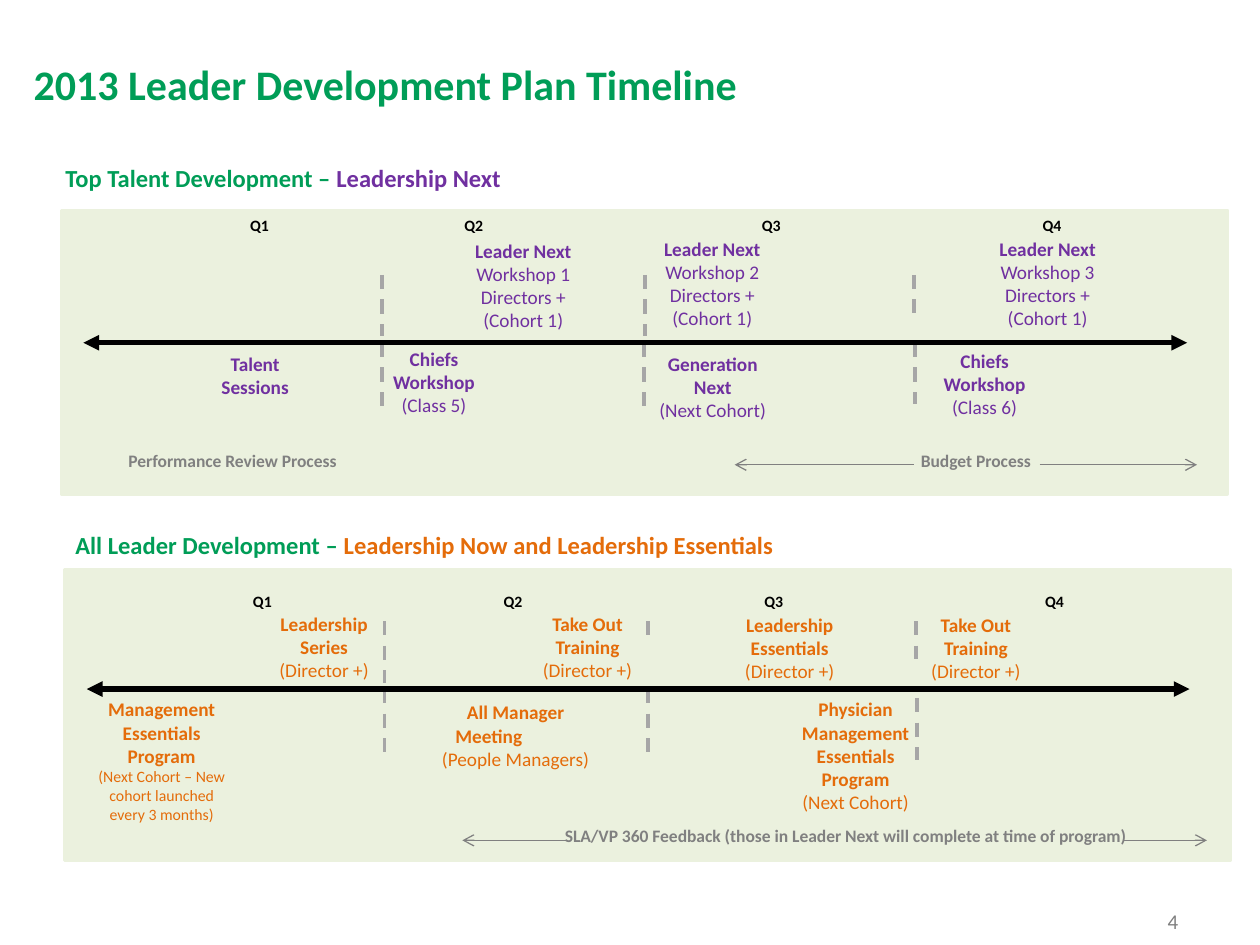
from lxml import etree
from pptx import Presentation
from pptx.dml.color import RGBColor
from pptx.enum.dml import MSO_LINE
from pptx.enum.shapes import MSO_CONNECTOR, MSO_SHAPE
from pptx.enum.text import MSO_ANCHOR, PP_ALIGN
from pptx.oxml.ns import qn
from pptx.util import Cm, Pt

DASH = MSO_LINE.DASH
STRAIGHT = MSO_CONNECTOR.STRAIGHT
RECTANGLE = MSO_SHAPE.RECTANGLE
MIDDLE, TOP = MSO_ANCHOR.MIDDLE, MSO_ANCHOR.TOP
LEFT, CENTER = PP_ALIGN.LEFT, PP_ALIGN.CENTER

COLORS = {
    "panel": "EBF1DE",
    "green": "009D57",
    "purple": "7030A0",
    "orange": "E46C0A",
    "gray": "808080",
    "divider": "A6A6A6",
    "black": "000000",
}


class TimelineSlide:
    font = "Calibri"

    def __init__(self, deck):
        self.slide = deck.slides.add_slide(deck.slide_layouts[6])

    def color(self, name):
        return RGBColor.from_string(COLORS[name])

    def panel(self, left, top, width, height):
        box = self.slide.shapes.add_shape(RECTANGLE, Cm(left), Cm(top), Cm(width), Cm(height))
        box.shadow.inherit = False
        box.fill.solid()
        box.fill.fore_color.rgb = self.color("panel")
        box.line.color.rgb = self.color("panel")
        box.line.width = Pt(2)

    def text(self, left, top, width, height, paras, align=CENTER, anchor=TOP, wrap=True):
        box = self.slide.shapes.add_textbox(Cm(left), Cm(top), Cm(width), Cm(height))
        frame = box.text_frame
        frame.word_wrap = wrap
        frame.vertical_anchor = anchor
        for index, runs in enumerate(paras):
            para = frame.add_paragraph() if index else frame.paragraphs[0]
            para.alignment = align
            for words, color, size, bold in runs:
                span = para.add_run()
                span.text = words
                span.font.name = self.font
                span.font.size = Pt(size)
                span.font.bold = bold
                span.font.color.rgb = self.color(color)
        return frame

    def heading(self, left, top, runs, size):
        spans = [(words, color, size, True) for words, color in runs]
        self.text(left, top, 22.86, 1.7, [spans], LEFT, MIDDLE)

    def quarters(self, top, lefts):
        for number, left in enumerate(lefts, 1):
            self.text(left, top, 2.24, 0.64, [[(f"Q{number}", "black", 9, True)]])

    def event(self, left, top, width, height, color, names, details, size=11):
        paras = [[(name, color, 11, True)] for name in names]
        paras += [[(detail, color, size, False)] for detail in details]
        return self.text(left, top, width, height, paras)

    def process(self, left, top, width, words, align=CENTER, wrap=True):
        self.text(left, top, width, 0.69, [[(words, "gray", 10, True)]], align, wrap=wrap)

    def line(self, start, end, color, weight, dash=None, head=None, tail=None):
        line = self.slide.shapes.add_connector(STRAIGHT, *map(Cm, start + end))
        line.line.color.rgb = self.color(color)
        line.line.width = Pt(weight)
        if dash:
            line.line.dash_style = dash
        outline = line.line._get_or_add_ln()
        for tag, kind in (("a:headEnd", head), ("a:tailEnd", tail)):
            if kind:
                etree.SubElement(outline, qn(tag)).set("type", kind)
        etree.SubElement(line._element.spPr, qn("a:effectLst"))

    def dividers(self, spans):
        for x, top, bottom in spans:
            self.line((x, top), (x, bottom), "divider", 2, DASH)

    def axis(self, start, end, y):
        self.line((start, y), (end, y), "black", 3, head="triangle", tail="triangle")

    def arrow(self, start, end, y):
        self.line((start, y), (end, y), "gray", 0.75, tail="arrow")


def draw_top_talent(page):
    page.heading(1.07, 2.74, [("Top Talent Development – ", "green"), ("Leadership Next", "purple")], 14)
    page.panel(1.24, 4.24, 23.5, 5.72)
    page.quarters(4.22, (4.11, 8.43, 14.43, 20.09))
    page.dividers([
        (7.7, 5.54, 6.78), (13, 5.54, 6.78), (18.42, 5.54, 6.3),
        (7.7, 6.91, 8.36), (12.98, 6.91, 8.36), (18.44, 6.91, 8.15),
    ])
    page.axis(1.68, 23.93, 6.91)
    for number, (left, top) in enumerate(((9.32, 4.7), (13.13, 4.65), (19.89, 4.65)), 1):
        details = [f"Workshop {number}", "Directors +", "(Cohort 1)"]
        page.event(left, top, 2.46, 2.13, "purple", ["Leader Next"], details)
    page.event(3.81, 6.98, 2.67, 1.19, "purple", ["Talent Sessions"], [])
    page.event(13, 6.98, 2.74, 1.68, "purple", ["Generation Next"], ["(Next Cohort)"])
    for left, top, number in ((7.52, 6.88, 5), (18.62, 6.91, 6)):
        page.event(left, top, 2.46, 1.68, "purple", ["Chiefs Workshop"], [f"(Class {number})"])
    page.process(2.34, 8.94, 4.75, "Performance Review Process", LEFT, False)
    page.process(15.44, 8.94, 8.46, "Budget Process")
    page.arrow(20.96, 24.13, 9.37)
    page.arrow(18.42, 14.81, 9.37)


def draw_all_leaders(page):
    page.heading(1.27, 10.13, [
        ("All Leader Development – ", "green"),
        ("Leadership Now and Leadership Essentials", "orange"),
    ], 14)
    page.panel(1.3, 11.48, 23.5, 5.87)
    page.quarters(11.81, (4.17, 9.22, 14.48, 20.14))
    page.dividers([
        (7.75, 12.52, 13.77), (13.06, 12.52, 12.85), (18.47, 12.52, 13.28),
        (7.75, 13.89, 15.34), (13.06, 13.89, 15.34), (18.49, 14.07, 15.32),
    ])
    page.axis(1.75, 23.98, 13.89)
    for left, top, width, name in (
        (5.28, 12.22, 2.51, "Leadership Series"),
        (10.59, 12.22, 2.51, "Take Out Training"),
        (14.61, 12.24, 2.62, "Leadership Essentials"),
        (18.42, 12.24, 2.51, "Take Out Training"),
    ):
        page.event(left, top, width, 1.68, "orange", [name], ["(Director +)"])
    page.event(1.7, 13.94, 3.12, 2.82, "orange", ["Management Essentials Program"],
               ["(Next Cohort – New cohort launched every 3 months)"], 9)
    meeting = page.event(8.59, 14, 3.61, 1.68, "orange", ["All Manager", "Meeting"], ["(People Managers)"])
    second = meeting.paragraphs[1]
    second.alignment = LEFT
    second._p.get_or_add_pPr().set("marL", str(Cm(0.34)))
    page.event(15.88, 13.94, 2.74, 2.62, "orange",
               ["Physician Management", "Essentials Program"], ["(Next Cohort)"])
    page.process(9.32, 16.51, 15.44,
                 "SLA/VP 360 Feedback (those in Leader Next will complete at time of program)")
    page.arrow(11.43, 9.32, 16.94)
    page.arrow(22.66, 24.33, 16.94)


def main():
    deck = Presentation()
    deck.slide_width, deck.slide_height = Cm(25.4), Cm(19.05)
    page = TimelineSlide(deck)
    page.heading(0.43, 0.84, [("2013 Leader Development Plan Timeline", "green")], 24)
    draw_top_talent(page)
    draw_all_leaders(page)
    page.text(23.29, 18.19, 1.07, 1.02, [[("4", "gray", 12, False)]], LEFT)
    deck.save("out.pptx")


if __name__ == "__main__":
    main()
